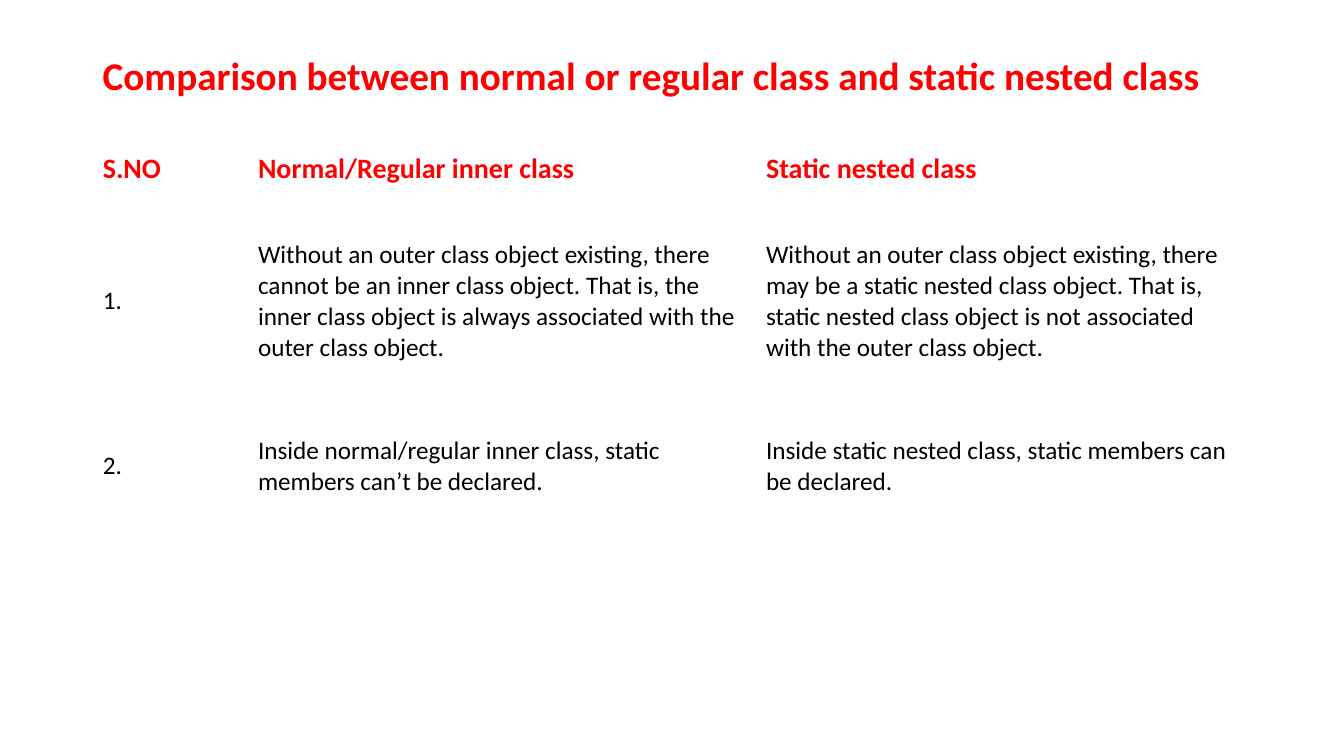
from pptx import Presentation
from pptx.dml.color import RGBColor as Rgb
from pptx.enum.text import MSO_ANCHOR as Anchor, PP_ALIGN as Align
from pptx.util import Inches, Pt

HEADS = ["S.NO", "Normal/Regular inner class", "Static nested class"]
ROWS = [
    ["1.",
     "Without an outer class object existing, there cannot be an inner class object. "
     "That is, the inner class object is always associated with the outer class object.",
     "Without an outer class object existing, there may be a static nested class object. "
     "That is, static nested class object is not associated with the outer class object."],
    ["2.",
     "Inside normal/regular inner class, static members can’t be declared.",
     "Inside static nested class, static members can be declared."],
]


class Page:
    """One slide on a grid of 100 columns by 100 rows."""
    font = "Calibri"
    colors = {"head": "FF0000", "body": "000000", "back": "FFFFFF"}

    def __init__(self, deck):
        self.slide = deck.slides.add_slide(deck.slide_layouts[6])
        self.col = deck.slide_width / 100
        self.row = deck.slide_height / 100

    def box(self, left, top, wide, high):
        return (round(left * self.col), round(top * self.row),
                round(wide * self.col), round(high * self.row))

    def color(self, name):
        return Rgb.from_string(self.colors[name])

    def label(self, frame, text, size, tone, bold):
        frame.text = text
        para = frame.paragraphs[0]
        para.alignment = Align.LEFT
        font = para.runs[0].font
        font.name, font.size, font.bold = self.font, Pt(size), bold
        font.color.rgb = self.color(tone)
        return para

    def title(self, text, *area):
        frame = self.slide.shapes.add_textbox(*self.box(*area)).text_frame
        frame.word_wrap = True
        frame.vertical_anchor = Anchor.MIDDLE
        self.label(frame, text, 28, "head", True).line_spacing = 0.9

    def table(self, heads, rows, left, top, widths, heights):
        area = self.box(left, top, sum(widths), sum(heights))
        data = [heads, *rows]
        table = self.slide.shapes.add_table(len(data), len(heads), *area).table
        for column, width in zip(table.columns, widths):
            column.width = round(width * self.col)
        for line, height in zip(table.rows, heights):
            line.height = round(height * self.row)
        for r, texts in enumerate(data):
            for c, text in enumerate(texts):
                self.cell(table.cell(r, c), text, r == 0)

    def cell(self, cell, text, head):
        cell.fill.solid()
        cell.fill.fore_color.rgb = self.color("back")
        cell.vertical_anchor = Anchor.MIDDLE
        cell.margin_left = cell.margin_right = Inches(0.1)
        cell.margin_top = cell.margin_bottom = Inches(0.1 if head else 0.15)
        self.label(cell.text_frame, text, 20 if head else 18,
                   "head" if head else "body", head)


def main():
    deck = Presentation()
    deck.slide_width, deck.slide_height = Inches(13.33), Inches(7.5)
    page = Page(deck)
    page.title("Comparison between normal or regular class and static nested class",
               6.9, 5.33, 86.25, 9.87)
    page.table(HEADS, ROWS, 6.9, 17.33, [11.55, 37.8, 36.9], [10.13, 24.8, 18.8])
    deck.save("out.pptx")


if __name__ == "__main__":
    main()
